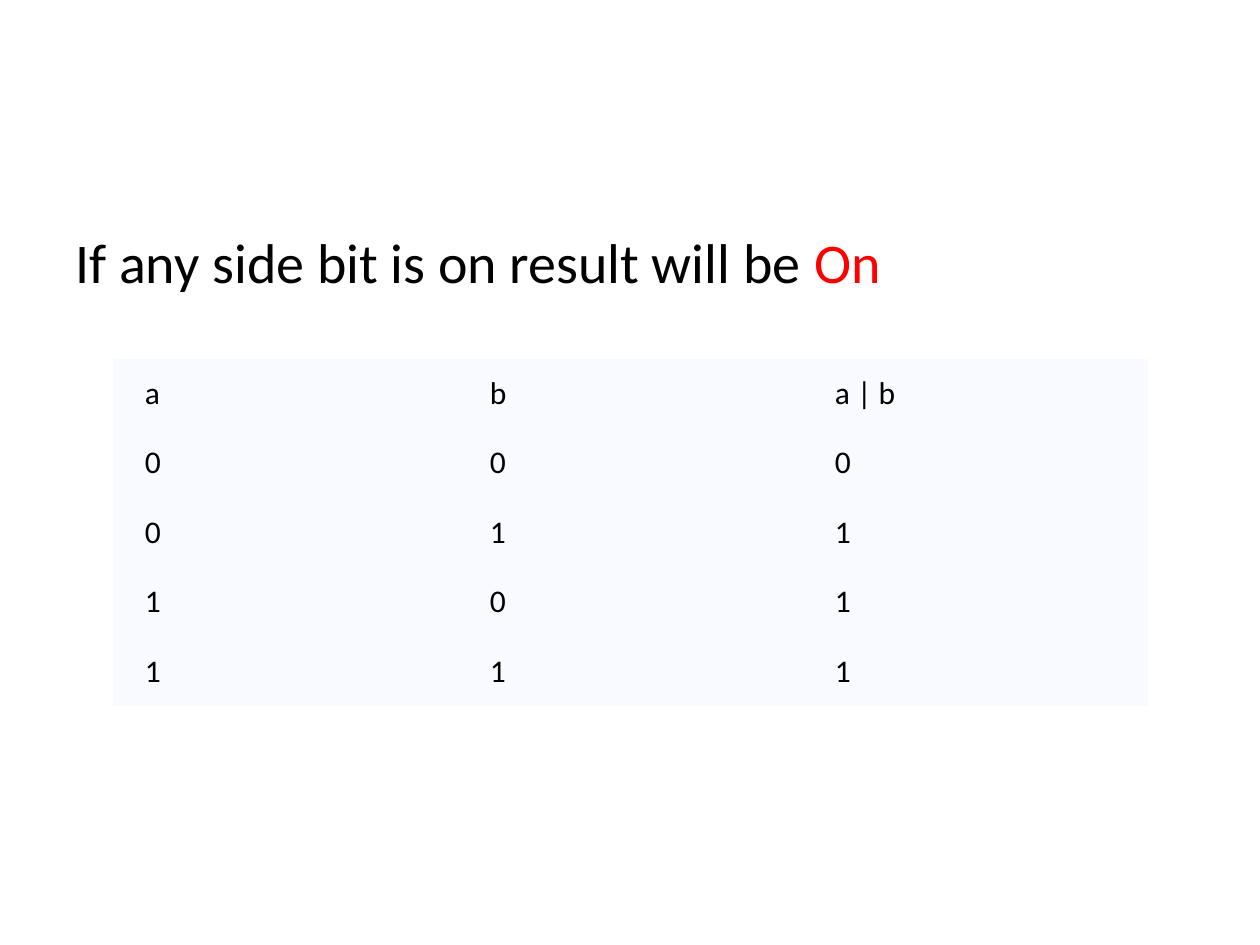
from dataclasses import dataclass

from pptx import Presentation
from pptx.dml.color import RGBColor
from pptx.enum.text import MSO_ANCHOR
from pptx.util import Inches, Pt

PX_PER_INCH = 126
NO_GRID_STYLE = "{2D5ABB26-0587-4C30-8999-92F81FD0307C}"


def px(count):
    return Inches(count / PX_PER_INCH)


def apply_format(target, values):
    for name, value in values.items():
        setattr(target, name, value)


@dataclass(frozen=True)
class Theme:
    font: str = "Calibri"
    ink: str = "000000"
    accent: str = "FF0000"
    cell_fill: str = "F8FAFF"
    statement_size: int = 32
    table_size: int = 18


class PageBuilder:
    """Draws elements on the current page in one theme."""

    def __init__(self, page, theme):
        self.page = page
        self.theme = theme

    def add_span(self, para, text, size, color):
        span = para.add_run()
        span.text = text
        apply_format(span.font, {"name": self.theme.font, "size": Pt(size), "bold": False})
        span.font.color.rgb = RGBColor.from_string(color)

    def add_text(self, left, top, width, height, spans):
        box = self.page.shapes.add_textbox(px(left), px(top), px(width), px(height))
        box.text_frame.word_wrap = True
        para = box.text_frame.paragraphs[0]
        for text, color in spans:
            self.add_span(para, text, self.theme.statement_size, color)

    def add_table(self, left, top, width, height, rows):
        frame = self.page.shapes.add_table(
            len(rows), len(rows[0]), px(left), px(top), px(width), px(height)
        )
        table = frame.table
        apply_format(table, {"first_row": False, "horz_banding": False})
        table._tbl.tblPr.find("{*}tableStyleId").text = NO_GRID_STYLE
        cell_format = {
            "margin_left": px(32),
            "margin_right": px(32),
            "margin_top": px(6),
            "margin_bottom": px(6),
            "vertical_anchor": MSO_ANCHOR.MIDDLE,
        }
        texts = [text for row in rows for text in row]
        for cell, text in zip(table.iter_cells(), texts):
            apply_format(cell, cell_format)
            cell.fill.solid()
            cell.fill.fore_color.rgb = RGBColor.from_string(self.theme.cell_fill)
            para = cell.text_frame.paragraphs[0]
            self.add_span(para, text, self.theme.table_size, self.theme.ink)


def main():
    deck = Presentation()
    apply_format(deck, {"slide_width": Inches(10), "slide_height": Inches(7.5)})
    theme = Theme()
    builder = PageBuilder(deck.slides.add_slide(deck.slide_layouts[6]), theme)

    builder.add_text(
        63, 221, 1134, 624,
        [("If any side bit is on result will be ", theme.ink), ("On", theme.accent)],
    )
    truth_rows = [(str(a), str(b), str(a | b)) for a in (0, 1) for b in (0, 1)]
    builder.add_table(113, 359, 1035, 347, [("a", "b", "a | b"), *truth_rows])

    deck.save("out.pptx")


if __name__ == "__main__":
    main()
